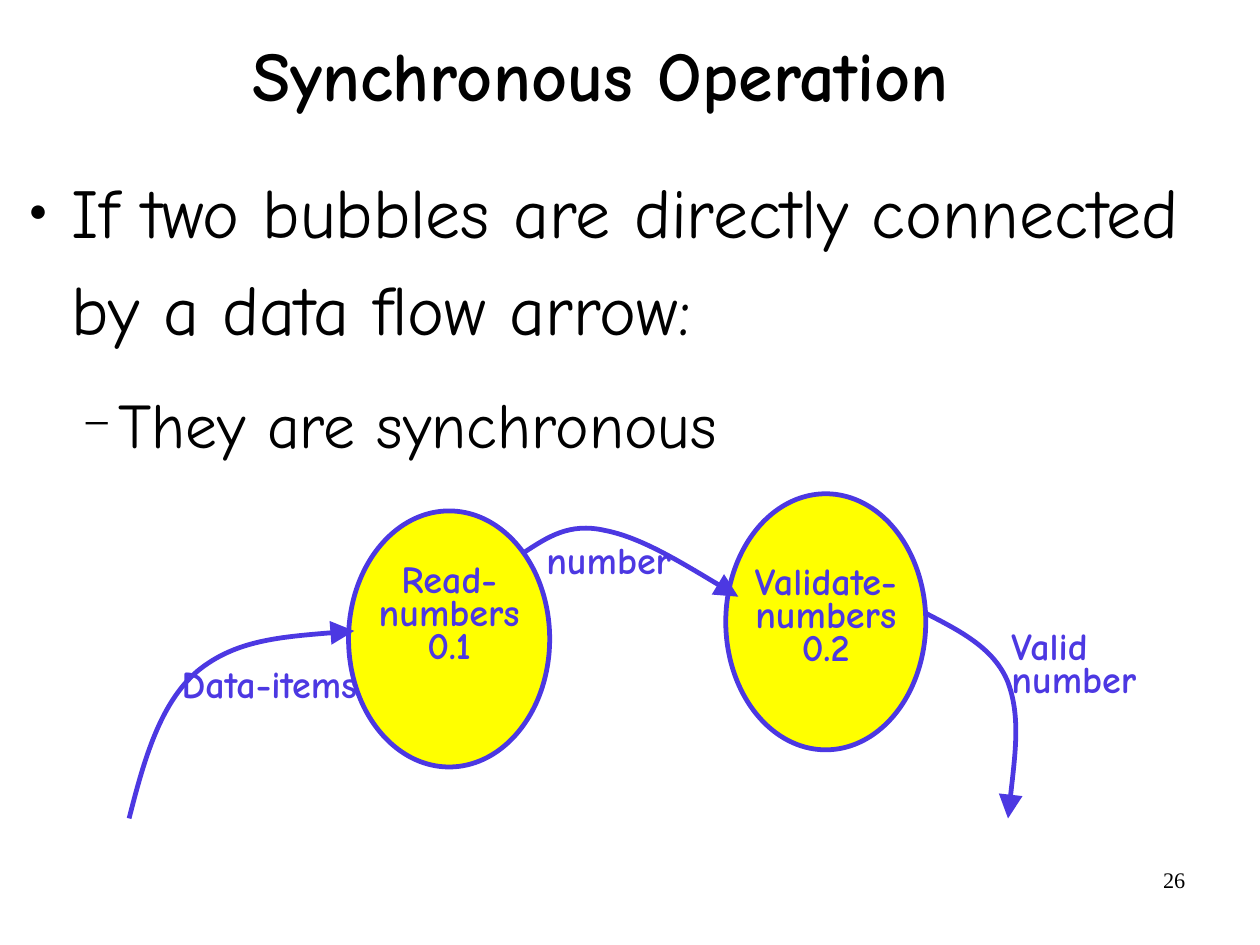
from dataclasses import dataclass

from lxml.etree import SubElement
from pptx import Presentation
from pptx.dml.color import RGBColor
from pptx.enum.shapes import MSO_SHAPE as Shape
from pptx.enum.text import MSO_ANCHOR as Anchor, PP_ALIGN as Align
from pptx.oxml.ns import qn
from pptx.slide import Slide
from pptx.text.text import _Paragraph as Paragraph
from pptx.util import Emu, Pt

PX = 9144
PAGE_WIDTH, PAGE_HEIGHT = Emu(10080625), Emu(7559675)
COLORS = {"ink": "000000", "flow": "4C38E2", "bubble": "FFFF00"}
HAND, SERIF = "Comic Neue", "Times New Roman"
Point = tuple[int, int]
Box = tuple[int, int, int, int]


@dataclass
class Text:
    box: Box
    words: str
    size: int = 24
    bold: bool = True
    color: str = "flow"
    align: Align = Align.LEFT
    spacing: float = 0.72
    font: str = HAND
    anchor: Anchor = Anchor.TOP
    inset: Point = (2, 6)


@dataclass
class Bullet:
    words: str
    size: int
    mark: str
    mark_percent: int
    indent: int
    hanging: int
    before: float
    after: float


@dataclass
class Flow:
    start: Point
    controls: list[Point]


TITLE = Text((57, 0, 937, 137), "Synchronous Operation", 44, color="ink",
             align=Align.CENTER, spacing=0.94, anchor=Anchor.MIDDLE)
PAGE_NUMBER = Text((790, 753, 257, 57), "26", 14, False, "ink", Align.RIGHT,
                   1.0, SERIF, inset=(10, 5))
BODY_BOX = (23, 131, 1063, 548)
BULLETS = [
    Bullet("If two bubbles are directly connected by a data flow arrow:",
           44, "●", 45, 38, 38, 0, 8.2),
    Bullet("They are synchronous", 40, "−", 75, 79, 31, 7.1, 7.5),
]
BUBBLES = [(305, 447, 176, 224), (635, 432, 175, 224)]
FLOWS = [
    Flow((113, 716), [(126, 665), (140, 615), (173, 587),
                      (206, 560), (258, 556), (310, 552)]),
    Flow((459, 483), [(479, 470), (498, 457), (529, 464),
                      (560, 470), (603, 496), (646, 522)]),
    Flow((811, 537), [(840, 552), (870, 567), (882, 597),
                      (893, 627), (887, 671), (882, 716)]),
]
LABELS = [
    Text((157, 582, 175, 137), "Data-items"),
    Text((305, 490, 176, 197), "Read-numbers\v0.1", align=Align.CENTER),
    Text((635, 492, 175, 250), "Validate-numbers\v0.2", align=Align.CENTER),
    Text((883, 549, 176, 137), "Valid number"),
    Text((476, 474, 175, 77), "number"),
]


def rgb(name: str) -> RGBColor:
    return RGBColor.from_string(COLORS[name])


def emu(box: Box) -> list[int]:
    return [length * PX for length in box]


def add_frame(page: Slide, box: Box, inset: Point, anchor: Anchor):
    frame = page.shapes.add_textbox(*emu(box)).text_frame
    frame.word_wrap = True
    frame.vertical_anchor = anchor
    frame.margin_left = frame.margin_right = inset[0] * PX
    frame.margin_top = frame.margin_bottom = inset[1] * PX
    return frame


def style(para: Paragraph, font: str, size: int, bold: bool, color: str) -> None:
    para.font.name = font
    para.font.size = Pt(size)
    para.font.bold = bold
    para.font.color.rgb = rgb(color)


def add_text(page: Slide, text: Text) -> None:
    frame = add_frame(page, text.box, text.inset, text.anchor)
    frame.text = text.words
    para = frame.paragraphs[0]
    para.alignment = text.align
    para.line_spacing = text.spacing
    style(para, text.font, text.size, text.bold, text.color)


def add_bullets(page: Slide, box: Box, bullets: list[Bullet]) -> None:
    frame = add_frame(page, box, (2, 6), Anchor.TOP)
    for index, bullet in enumerate(bullets):
        para = frame.add_paragraph() if index else frame.paragraphs[0]
        para.text = bullet.words
        para.level = index
        props = para._p.get_or_add_pPr()
        props.set("marL", str(bullet.indent * PX))
        props.set("indent", str(-bullet.hanging * PX))
        tint = SubElement(props, qn("a:buClr"))
        SubElement(tint, qn("a:srgbClr"), val=COLORS["ink"])
        SubElement(props, qn("a:buSzPct"), val=str(bullet.mark_percent * 1000))
        SubElement(props, qn("a:buFont"), typeface=SERIF)
        SubElement(props, qn("a:buChar"), char=bullet.mark)
        para.line_spacing = 1.15
        para.space_before = Pt(bullet.before)
        para.space_after = Pt(bullet.after)
        style(para, HAND, bullet.size, False, "ink")


def outline(shape) -> None:
    shape.shadow.inherit = False
    shape.line.color.rgb = rgb("flow")
    shape.line.width = Pt(3)


def add_bubble(page: Slide, box: Box) -> None:
    bubble = page.shapes.add_shape(Shape.OVAL, *emu(box))
    bubble.fill.solid()
    bubble.fill.fore_color.rgb = rgb("bubble")
    outline(bubble)


def add_flow(page: Slide, flow: Flow) -> None:
    builder = page.shapes.build_freeform(*flow.start, scale=PX)
    builder.add_line_segments(flow.controls, close=False)
    arrow = builder.convert_to_shape()
    arrow.fill.background()
    outline(arrow)
    SubElement(arrow.line._get_or_add_ln(), qn("a:tailEnd"),
               type="triangle", w="lg", len="lg")
    track = next(arrow._element.iter(qn("a:path")))
    segments = track.findall(qn("a:lnTo"))
    for first in range(0, len(segments), 3):
        curve = SubElement(track, qn("a:cubicBezTo"))
        for segment in segments[first:first + 3]:
            curve.append(segment[0])
            track.remove(segment)


def main() -> None:
    deck = Presentation()
    deck.slide_width, deck.slide_height = PAGE_WIDTH, PAGE_HEIGHT
    page = deck.slides.add_slide(deck.slide_layouts[6])
    add_text(page, PAGE_NUMBER)
    add_text(page, TITLE)
    add_bullets(page, BODY_BOX, BULLETS)
    for box in BUBBLES:
        add_bubble(page, box)
    for flow in FLOWS:
        add_flow(page, flow)
    for label in LABELS:
        add_text(page, label)
    deck.save("out.pptx")


if __name__ == "__main__":
    main()
